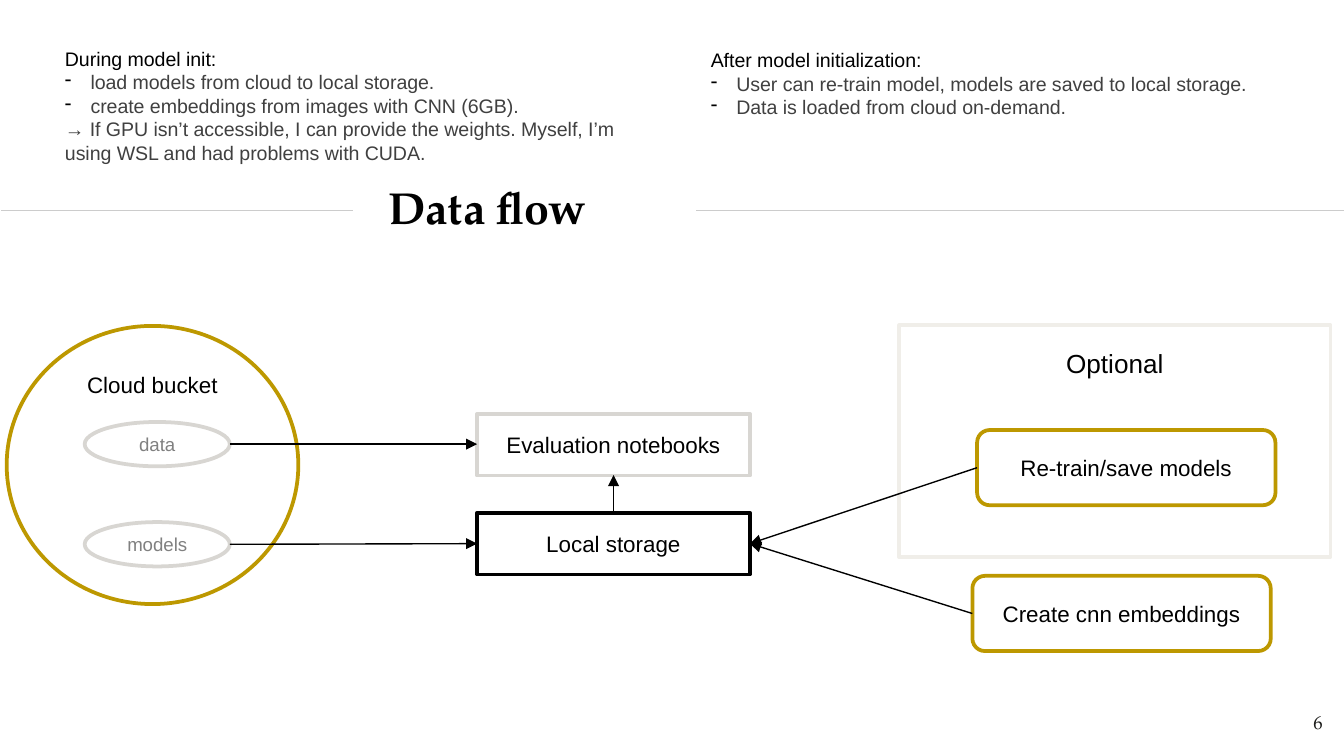
"""Build the data flow slide with its notes, storage diagram and arrows."""
from dataclasses import dataclass
from typing import Any

from lxml.etree import SubElement
from pptx import Presentation
from pptx.dml.color import RGBColor
from pptx.enum.shapes import MSO_CONNECTOR, MSO_SHAPE
from pptx.enum.text import MSO_ANCHOR, PP_ALIGN
from pptx.oxml.ns import qn
from pptx.util import Emu, Pt

PX = 4572
COLORS = {
    "black": "000000",
    "body": "404040",
    "muted": "808080",
    "number": "1D1D1B",
    "rule": "CCCCCC",
    "gray": "D8D6D2",
    "pale": "F0EEE9",
    "gold": "BD9800",
    "white": "FFFFFF",
}
SANS = "Arial"
SERIF = "TeX Gyre Pagella"
BULLET_INDENT = 38
SERIF_INSET = 20


@dataclass(frozen=True)
class Node:
    label: str
    box: tuple[int, int, int, int]
    kind: MSO_SHAPE
    border: str
    size: int = 12
    color: str = "black"
    top_inset: int | None = None


@dataclass(frozen=True)
class Link:
    start: tuple[int, int]
    end: tuple[int, int]
    color: str = "black"
    arrow: bool = True


@dataclass(frozen=True)
class Line:
    text: str
    color: str = "body"
    bullet: bool = False


@dataclass(frozen=True)
class Note:
    box: tuple[int, int, int, int]
    lines: tuple[Line, ...]


NODES = (
    Node("Optional", (1338, 484, 642, 345), MSO_SHAPE.RECTANGLE, "pale", 14, top_inset=33),
    Node("Cloud bucket", (10, 485, 434, 414), MSO_SHAPE.OVAL, "gold", top_inset=7),
    Node("Local storage", (710, 763, 406, 92), MSO_SHAPE.RECTANGLE, "black"),
    Node("Evaluation notebooks", (710, 616, 406, 92), MSO_SHAPE.RECTANGLE, "gray"),
    Node("data", (126, 628, 216, 66), MSO_SHAPE.OVAL, "gray", 10, "muted"),
    Node("models", (126, 777, 216, 66), MSO_SHAPE.OVAL, "gray", 10, "muted"),
    Node("Create cnn embeddings", (1447, 857, 444, 112), MSO_SHAPE.ROUNDED_RECTANGLE, "gold"),
    Node("Re-train/save models", (1454, 640, 444, 112), MSO_SHAPE.ROUNDED_RECTANGLE, "gold"),
)
LINKS = (
    Link((2, 313), (526, 313), "rule", False),
    Link((1036, 313), (2000, 313), "rule", False),
    Link((342, 810), (710, 809)),
    Link((342, 661), (710, 661)),
    Link((913, 763), (913, 707)),
    Link((1447, 913), (1116, 809)),
    Link((1454, 696), (1116, 809)),
)
NOTES = (
    Note((77, 60, 884, 268), (
        Line("During model init:", "black"),
        Line("load models from cloud to local storage.", bullet=True),
        Line("create embeddings from images with CNN (6GB).", bullet=True),
        Line("→ If GPU isn’t accessible, I can provide the weights. "
             "Myself, I’m using WSL and had problems with CUDA."),
    )),
    Note((1038, 62, 884, 196), (
        Line("After model initialization:", "black"),
        Line("User can re-train model, models are saved to local storage.", bullet=True),
        Line("Data is loaded from cloud on-demand.", bullet=True),
    )),
)


def px(*values: int) -> list[Emu]:
    """Turn px lengths into EMU."""
    return [Emu(v * PX) for v in values]


def rgb(name: str) -> RGBColor:
    """Look up a palette colour."""
    return RGBColor.from_string(COLORS[name])


def apply(target: Any, values: dict[str, Any]) -> None:
    """Set every attribute in values on target."""
    for name, value in values.items():
        setattr(target, name, value)


def add_run(p: Any, text: str, size: float, color: str, font: str = SANS,
            bold: bool = False) -> None:
    """Append a formatted run to a paragraph."""
    r = p.add_run()
    r.text = text
    apply(r.font, {"name": font, "size": Pt(size), "bold": bold})
    r.font.color.rgb = rgb(color)


def add_bullet(p: Any) -> None:
    """Give a paragraph a hanging dash."""
    pPr = p._p.get_or_add_pPr()
    pPr.set("marL", str(BULLET_INDENT * PX))
    pPr.set("indent", str(-BULLET_INDENT * PX))
    SubElement(SubElement(pPr, qn("a:buClr")), qn("a:srgbClr"), val=COLORS["black"])
    SubElement(pPr, qn("a:buChar"), char="-")


def draw_node(s: Any, node: Node) -> None:
    """Draw an outlined shape with its centred label."""
    sp = s.shapes.add_shape(node.kind, *px(*node.box))
    sp.shadow.inherit = False
    sp.fill.solid()
    sp.fill.fore_color.rgb = rgb("white")
    sp.line.color.rgb = rgb(node.border)
    sp.line.width = Pt(2)
    tf = sp.text_frame
    apply(tf, {"word_wrap": True, "vertical_anchor": MSO_ANCHOR.MIDDLE})
    if node.top_inset is not None:
        apply(tf, {"vertical_anchor": MSO_ANCHOR.TOP, "margin_top": Emu(node.top_inset * PX)})
    p = tf.paragraphs[0]
    p.alignment = PP_ALIGN.CENTER
    add_run(p, node.label, node.size, node.color)


def draw_link(s: Any, link: Link) -> None:
    """Draw a thin line, with an arrowhead at its end if wanted."""
    sp = s.shapes.add_connector(MSO_CONNECTOR.STRAIGHT, *px(*link.start, *link.end))
    sp.line.color.rgb = rgb(link.color)
    sp.line.width = Pt(0.75)
    spPr = sp.element.spPr
    if link.arrow:
        SubElement(spPr.find(qn("a:ln")), qn("a:tailEnd"), type="triangle")
    SubElement(spPr, qn("a:effectLst"))


def draw_note(s: Any, note: Note) -> None:
    """Draw a note with a heading and its lines."""
    tf = s.shapes.add_textbox(*px(*note.box)).text_frame
    tf.word_wrap = True
    for i, line in enumerate(note.lines):
        p = tf.add_paragraph() if i else tf.paragraphs[0]
        if line.bullet:
            add_bullet(p)
        add_run(p, line.text, 10.5, line.color)


def draw_serif(s: Any, text: str, box: tuple[int, int, int, int], size: int, color: str,
               bold: bool, align: PP_ALIGN, anchor: MSO_ANCHOR) -> None:
    """Draw one line of serif text with even insets."""
    tf = s.shapes.add_textbox(*px(*box)).text_frame
    inset = Emu(SERIF_INSET * PX)
    apply(tf, {"word_wrap": True, "vertical_anchor": anchor,
               "margin_top": inset, "margin_bottom": inset})
    p = tf.paragraphs[0]
    p.alignment = align
    add_run(p, text, size, color, SERIF, bold)


def main() -> None:
    """Build and save the slide."""
    prs = Presentation()
    prs.slide_width, prs.slide_height = px(2000, 1125)
    s = prs.slides.add_slide(prs.slide_layouts[6])
    for node in NODES:
        draw_node(s, node)
    for link in LINKS:
        draw_link(s, link)
    draw_serif(s, "Data flow", (558, 192, 362, 230), 24, "black", True,
               PP_ALIGN.LEFT, MSO_ANCHOR.MIDDLE)
    draw_serif(s, "6", (1868, 1041, 120, 84), 10, "number", False,
               PP_ALIGN.RIGHT, MSO_ANCHOR.TOP)
    for note in NOTES:
        draw_note(s, note)
    prs.save("out.pptx")


if __name__ == "__main__":
    main()
